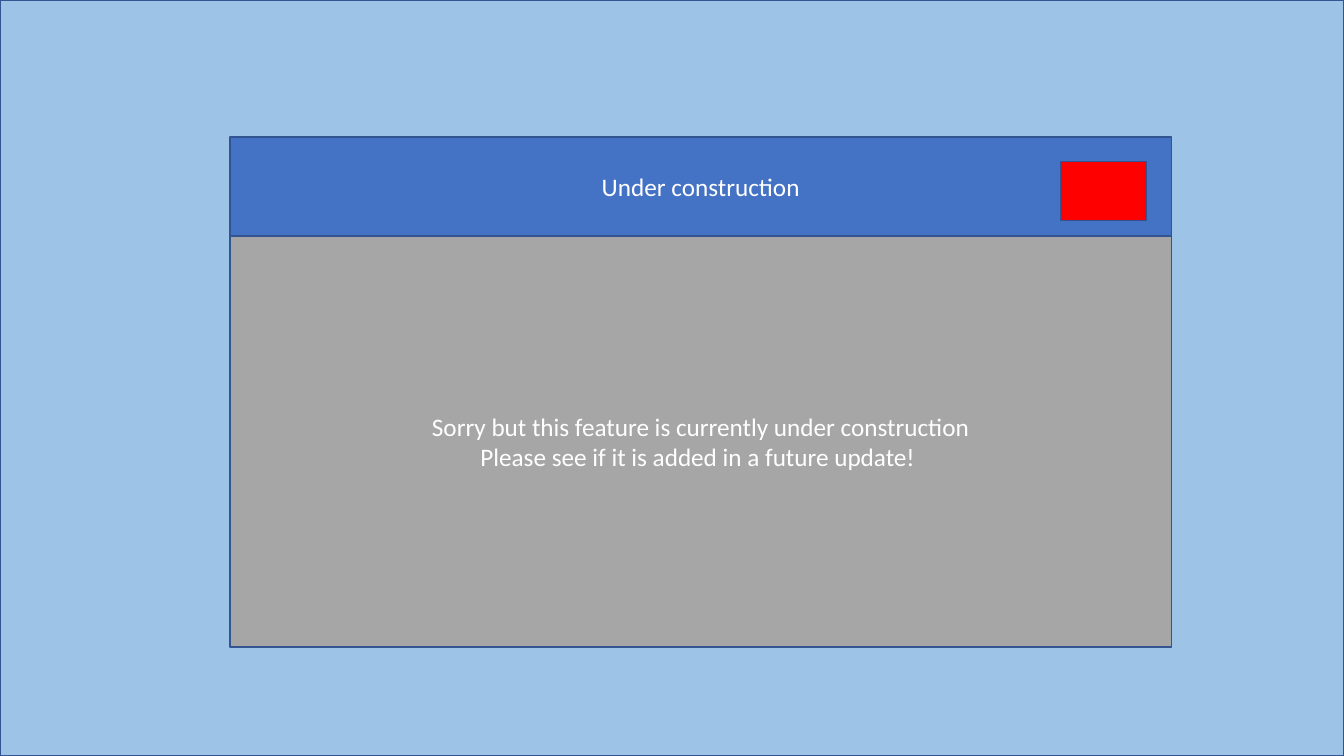
from dataclasses import dataclass

import pptx
import pptx.util
import pptx.dml.color
import pptx.enum.shapes
import pptx.enum.text
from pptx.util import Inches


@dataclass(frozen=True)
class Theme:
    backdrop: str = "9DC3E6"
    message: str = "A6A6A6"
    title_bar: str = "4472C4"
    close_button: str = "FF0000"
    outline: str = "325491"
    text: str = "FFFFFF"
    font: str = "Calibri"
    text_size: int = 18
    outline_width: int = 1


THEME = Theme()
SLIDE_WIDTH, SLIDE_HEIGHT = 13.33, 7.5
DIALOG_LEFT, DIALOG_TOP, DIALOG_WIDTH = 2.28, 1.36, 9.34
BAR_HEIGHT, MESSAGE_HEIGHT = 0.98, 4.08


def rgb(value):
    return pptx.dml.color.RGBColor.from_string(value)


def paint(panel, color):
    panel.fill.solid()
    panel.fill.fore_color.rgb = rgb(color)
    panel.line.color.rgb = rgb(THEME.outline)
    panel.line.width = pptx.util.Pt(THEME.outline_width)


def add_panel(slide, left, top, width, height, color):
    panel = slide.shapes.add_shape(
        pptx.enum.shapes.MSO_SHAPE.RECTANGLE,
        Inches(left), Inches(top), Inches(width), Inches(height))
    panel.shadow.inherit = False
    paint(panel, color)
    return panel


def write_centered(panel, text):
    frame = panel.text_frame
    frame.text = text
    frame.word_wrap = True
    frame.auto_size = pptx.enum.text.MSO_AUTO_SIZE.NONE
    frame.vertical_anchor = pptx.enum.text.MSO_ANCHOR.MIDDLE
    for paragraph in frame.paragraphs:
        paragraph.alignment = pptx.enum.text.PP_ALIGN.CENTER
        for run in paragraph.runs:
            run.font.name = THEME.font
            run.font.size = pptx.util.Pt(THEME.text_size)
            run.font.color.rgb = rgb(THEME.text)


def place_title_bar(slide, text):
    title_bar = slide.shapes.title
    title_bar.left, title_bar.top = Inches(DIALOG_LEFT), Inches(DIALOG_TOP)
    title_bar.width, title_bar.height = Inches(DIALOG_WIDTH), Inches(BAR_HEIGHT)
    paint(title_bar, THEME.title_bar)
    write_centered(title_bar, text)
    return title_bar


def main():
    deck = pptx.Presentation()
    deck.slide_width = Inches(SLIDE_WIDTH)
    deck.slide_height = Inches(SLIDE_HEIGHT)
    slide = deck.slides.add_slide(deck.slide_layouts.get_by_name("Title Only"))

    backdrop = add_panel(slide, 0, 0, SLIDE_WIDTH, SLIDE_HEIGHT, THEME.backdrop)
    message = add_panel(slide, DIALOG_LEFT, DIALOG_TOP + BAR_HEIGHT,
                        DIALOG_WIDTH, MESSAGE_HEIGHT, THEME.message)
    write_centered(message, "Sorry but this feature is currently under construction\n"
                            "Please see if it is added in a future update! ")

    title_bar = place_title_bar(slide, "Under construction")
    for panel in (backdrop, message):
        title_bar.element.addprevious(panel.element)

    add_panel(slide, 10.52, 1.6, 0.85, 0.59, THEME.close_button)
    deck.save("out.pptx")


if __name__ == "__main__":
    main()
